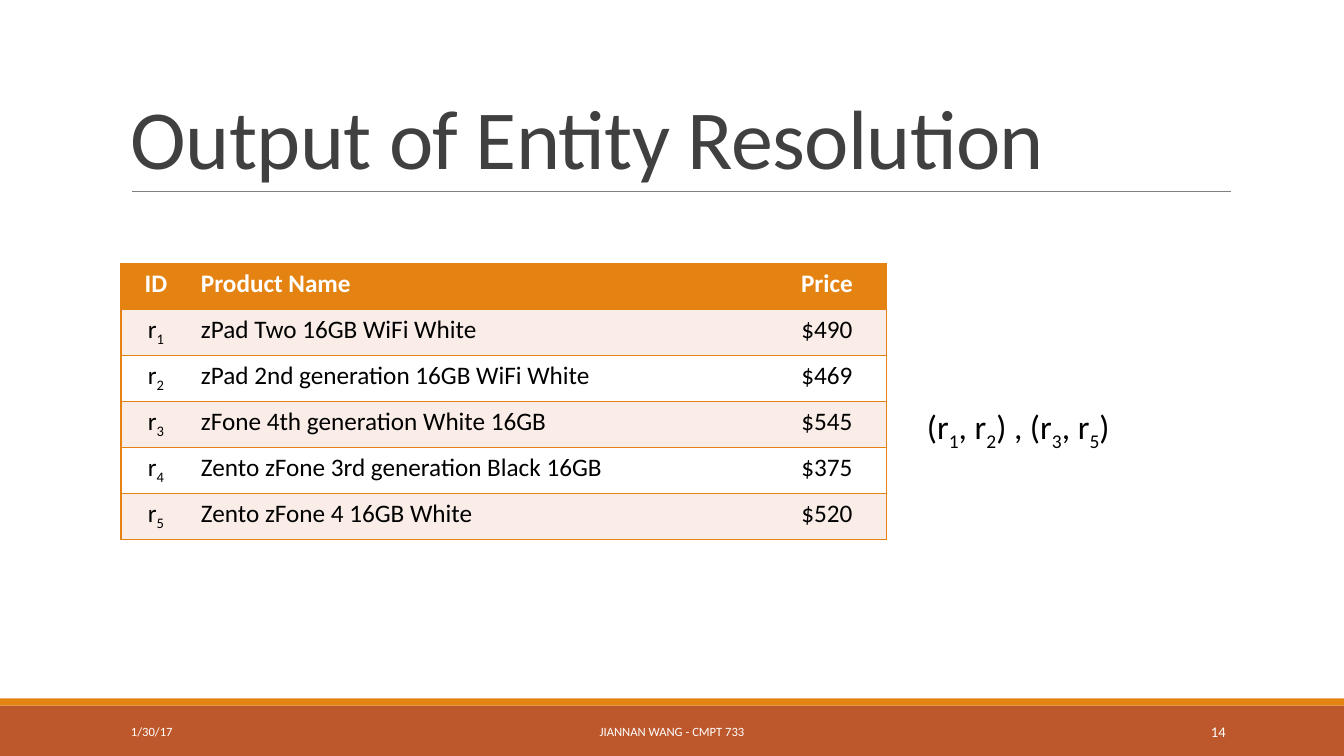
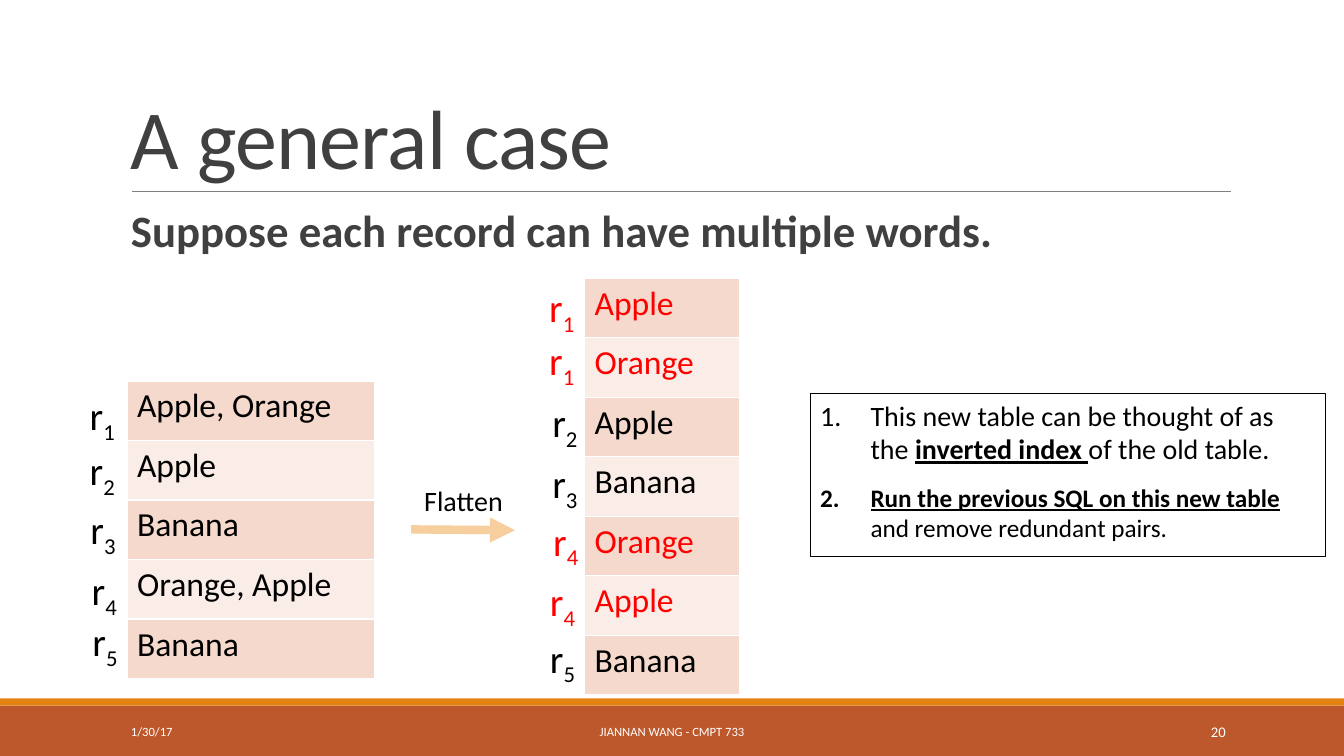
"""Build two lecture slides on entity resolution."""
from dataclasses import dataclass, field
from typing import Any, NamedTuple

from lxml import etree
from pptx import Presentation
from pptx import util as u
from pptx.dml import color
from pptx.enum import shapes, text
from pptx.oxml import ns


@dataclass(frozen=True)
class Theme:
    font: str = "Calibri"
    rust: str = "BD582C"
    orange: str = "E48312"
    peach: str = "F7CE9D"
    band_dark: str = "F5D9CC"
    band_light: str = "FAEDE7"
    white: str = "FFFFFF"
    black: str = "000000"
    grey: str = "808080"
    ink: str = "404040"
    red: str = "FF0000"
    title_size: float = 60
    subtitle_size: float = 32
    label_size: float = 28
    word_size: float = 24
    note_size: float = 20
    small_size: float = 18
    number_size: float = 10.5
    footer_size: float = 9


T = Theme()
LEFT, CENTER, RIGHT = text.PP_ALIGN.LEFT, text.PP_ALIGN.CENTER, text.PP_ALIGN.RIGHT
TOP, MIDDLE, BOTTOM = text.MSO_ANCHOR.TOP, text.MSO_ANCHOR.MIDDLE, text.MSO_ANCHOR.BOTTOM
FOOTER_TOP, FOOTER_HEIGHT = 17.93, 1.02


class Box(NamedTuple):
    x: float
    y: float
    w: float
    h: float

    def emu(self) -> list[u.Cm]:
        return [u.Cm(v) for v in self]


class Part(NamedTuple):
    text: str
    bold: bool = False
    underline: bool = False
    subscript: bool = False


@dataclass(frozen=True)
class Style:
    size: float
    color: str = T.black
    bold: bool = False
    align: Any = LEFT
    anchor: Any = TOP
    tracking: int = 0
    para: dict[str, Any] = field(default_factory=dict)


class Record(NamedTuple):
    label: str
    words: str
    x: float
    y: float
    color: str = T.black


class Product(NamedTuple):
    id: str
    name: str
    price: str


PRODUCTS = [
    Product("ID", "Product Name", "Price"),
    Product("r_1", "zPad Two 16GB WiFi White", "$490"),
    Product("r_2", "zPad 2nd generation 16GB WiFi White", "$469"),
    Product("r_3", "zFone 4th generation White 16GB", "$545"),
    Product("r_4", "Zento zFone 3rd generation Black 16GB", "$375"),
    Product("r_5", "Zento zFone 4 16GB White", "$520"),
]
OLD_TABLE = [
    Record("r_1", "Apple, Orange", 2.01, 9.73),
    Record("r_2", "Apple", 2.01, 11.13),
    Record("r_3", "Banana", 2.03, 12.62),
    Record("r_4", "Orange, Apple", 2.06, 14.15),
    Record("r_5", "Banana", 2.08, 15.44),
]
NEW_TABLE = [
    Record("r_1", "Apple", 13.59, 7.01, T.red),
    Record("r_1", "Orange", 13.59, 8.36, T.red),
    Record("r_2", "Apple", 13.67, 9.91),
    Record("r_3", "Banana", 13.67, 11.46),
    Record("r_4", "Orange", 13.69, 12.9, T.red),
    Record("r_4", "Apple", 13.61, 14.43, T.red),
    Record("r_5", "Banana", 13.61, 15.85),
]


def rgb(value: str) -> color.RGBColor:
    return color.RGBColor.from_string(value)


def apply(obj: Any, values: dict[str, Any]) -> None:
    for name, value in values.items():
        setattr(obj, name, value)


def parse_parts(marked: str, bold: bool) -> list[Part]:
    first, *rest = marked.split("_")
    parts = [Part(first, bold)]
    for piece in rest:
        parts += [Part(piece[0], bold, subscript=True), Part(piece[1:], bold)]
    return [part for part in parts if part.text]


def write(p: Any, content: str | list[Part], style: Style) -> None:
    apply(p, {"alignment": style.align, **style.para})
    parts = parse_parts(content, style.bold) if isinstance(content, str) else content
    for part in parts:
        r = p.add_run()
        r.text = part.text
        apply(r.font, {"name": T.font, "size": u.Pt(style.size),
                       "bold": part.bold, "underline": part.underline})
        r.font.color.rgb = rgb(style.color)
        if part.subscript:
            r._r.get_or_add_rPr().set("baseline", "-25000")
        if style.tracking:
            r._r.get_or_add_rPr().set("spc", str(style.tracking))


def add_text(s: Any, box: Box, content: str, style: Style) -> None:
    tf = s.shapes.add_textbox(*box.emu()).text_frame
    apply(tf, {"word_wrap": True, "vertical_anchor": style.anchor})
    write(tf.paragraphs[0], content, style)


def add_rect(s: Any, box: Box, fill: str | None = None, line: str | None = None) -> Any:
    sp = s.shapes.add_shape(shapes.MSO_SHAPE.RECTANGLE, *box.emu())
    sp.shadow.inherit = False
    if fill:
        sp.fill.solid()
        sp.fill.fore_color.rgb = rgb(fill)
    else:
        sp.fill.background()
    if line:
        sp.line.color.rgb = rgb(line)
        sp.line.width = u.Pt(0.75)
    else:
        sp.line.fill.background()
    return sp


def add_line(s: Any, start: tuple[float, float], end: tuple[float, float],
             line: str, width: float, arrow: bool = False) -> None:
    cx = s.shapes.add_connector(shapes.MSO_CONNECTOR.STRAIGHT,
                                *(u.Cm(v) for v in (*start, *end)))
    cx.line.color.rgb = rgb(line)
    cx.line.width = u.Pt(width)
    props = cx.element.spPr
    if arrow:
        etree.SubElement(props.find(ns.qn("a:ln")), ns.qn("a:tailEnd"), type="triangle")
    etree.SubElement(props, ns.qn("a:effectLst"))


def set_borders(cell: Any, line: str, sides: str) -> None:
    props = cell._tc.get_or_add_tcPr()
    for side in "LRTB":
        ln = etree.SubElement(props, ns.qn(f"a:ln{side}"), w=str(u.Pt(1)))
        if side in sides:
            fill = etree.SubElement(ln, ns.qn("a:solidFill"))
            etree.SubElement(fill, ns.qn("a:srgbClr"), val=line)
        else:
            etree.SubElement(ln, ns.qn("a:noFill"))


def add_table(s: Any, x: float, y: float, widths: list[float], height: float, count: int) -> Any:
    box = Box(x, y, sum(widths), height * count)
    tbl = s.shapes.add_table(count, len(widths), *box.emu()).table
    apply(tbl, {"first_row": False, "horz_banding": False})
    for col, width in zip(tbl.columns, widths):
        col.width = u.Cm(width)
    for row in tbl.rows:
        row.height = u.Cm(height)
    return tbl


def fill_cell(cell: Any, content: str, style: Style, fill: str, line: str, sides: str) -> None:
    set_borders(cell, line, sides)
    cell.fill.solid()
    cell.fill.fore_color.rgb = rgb(fill)
    write(cell.text_frame.paragraphs[0], content, style)


def add_products(s: Any) -> None:
    tbl = add_table(s, 3.05, 6.63, [1.76, 14.53, 3], 1.16, len(PRODUCTS))
    sides = ["LTB", "TB", "RTB"]
    aligns = [CENTER, LEFT, CENTER]
    for i, product in enumerate(PRODUCTS):
        header = i == 0
        fill = T.orange if header else T.band_light if i % 2 else T.white
        for j, content in enumerate(product):
            style = Style(T.small_size, T.white if header else T.black, header, aligns[j])
            fill_cell(tbl.cell(i, j), content, style, fill, T.orange, sides[j])


def add_records(s: Any, x: float, y: float, width: float, records: list[Record]) -> None:
    tbl = add_table(s, x, y, [width], 1.5, len(records))
    for i, rec in enumerate(records):
        fill = T.band_light if i % 2 else T.band_dark
        fill_cell(tbl.cell(i, 0), rec.words, Style(T.word_size, rec.color), fill, T.white, "LRTB")
        add_text(s, Box(rec.x, rec.y, 1.5, 1.45), rec.label, Style(T.label_size, rec.color))


def add_notes_box(s: Any) -> None:
    items = [
        (T.note_size, [Part("This new table can be thought of as the "),
                       Part("inverted index ", True, True), Part("of the old table.")]),
        (T.small_size, [Part("Run the previous SQL on this new table ", True, True),
                        Part("and remove redundant pairs.")]),
    ]
    tf = add_rect(s, Box(20.42, 9.91, 12.98, 4.11), line=T.black).text_frame
    apply(tf, {"word_wrap": True, "vertical_anchor": TOP})
    indent = u.Cm(1.27)
    for i, (size, parts) in enumerate(items):
        p = tf.add_paragraph() if i else tf.paragraphs[0]
        write(p, parts, Style(size, para={"space_before": u.Pt(12 if i else 6)}))
        props = p._p.get_or_add_pPr()
        props.set("marL", str(indent))
        props.set("indent", str(-indent))
        etree.SubElement(props, ns.qn("a:buFont"), typeface=T.font)
        etree.SubElement(props, ns.qn("a:buAutoNum"), type="arabicPeriod")


def add_slide(prs: Any, title: str, number: int) -> Any:
    s = prs.slides.add_slide(prs.slide_layouts[6])
    add_rect(s, Box(0, 17.78, 33.87, 1.27), T.rust)
    add_rect(s, Box(0, 17.6, 33.87, 0.18), T.orange)
    add_line(s, (3.33, 4.83), (31.01, 4.83), T.grey, 0.5)
    add_text(s, Box(3.05, 0.79, 27.94, 4.04), title,
             Style(T.title_size, T.ink, anchor=BOTTOM, tracking=-50, para={"line_spacing": 0.85}))
    footers = [
        (3.05, 6.86, "1/30/17", T.footer_size, LEFT),
        (10.24, 13.39, "JIANNAN WANG - CMPT 733", T.footer_size, CENTER),
        (27.51, 3.63, str(number), T.number_size, RIGHT),
    ]
    for x, width, content, size, align in footers:
        add_text(s, Box(x, FOOTER_TOP, width, FOOTER_HEIGHT), content,
                 Style(size, T.white, align=align, anchor=MIDDLE))
    return s


def build_output(prs: Any) -> None:
    s = add_slide(prs, "Output of Entity Resolution", 14)
    add_products(s)
    add_text(s, Box(23.11, 10.11, 5.4, 1.27), "(r_1, r_2) , (r_3, r_5)", Style(T.word_size))


def build_general_case(prs: Any) -> None:
    s = add_slide(prs, "A general case", 20)
    spacing = {"line_spacing": 0.9, "space_before": u.Pt(12), "space_after": u.Pt(2)}
    add_text(s, Box(3.05, 5.13, 27.94, 1.6), "Suppose each record can have multiple words.",
             Style(T.subtitle_size, T.ink, True, para=spacing))
    add_records(s, 3.2, 9.6, 6.25, OLD_TABLE)
    add_line(s, (10.36, 13.34), (12.98, 13.36), T.peach, 6, arrow=True)
    add_text(s, Box(10.44, 12.07, 2.8, 1.12), "Flatten", Style(T.note_size))
    add_records(s, 14.73, 7.01, 3.91, NEW_TABLE)
    add_notes_box(s)


def main() -> None:
    prs = Presentation()
    apply(prs, {"slide_width": u.Cm(33.87), "slide_height": u.Cm(19.05)})
    build_output(prs)
    build_general_case(prs)
    prs.save("out.pptx")


if __name__ == "__main__":
    main()
